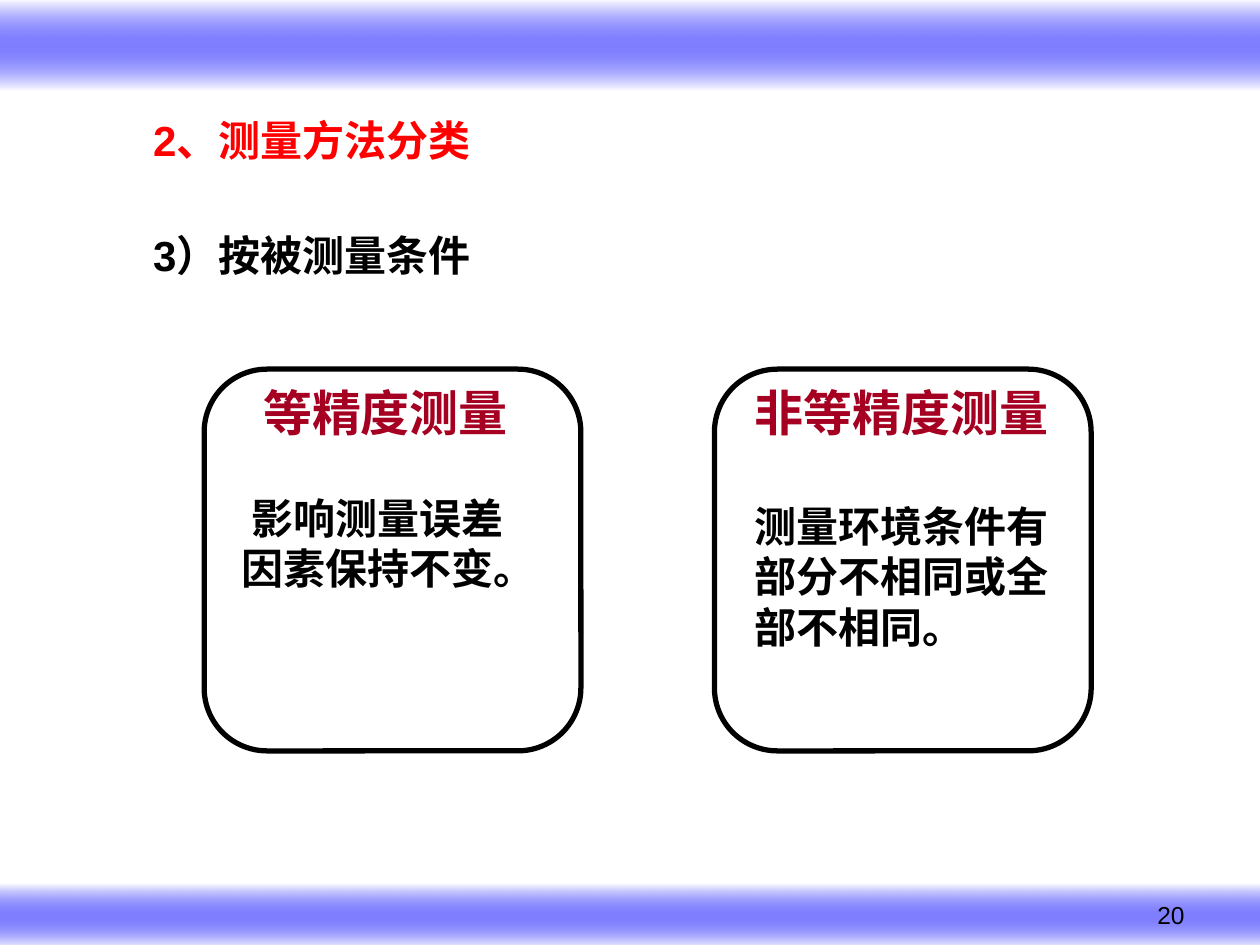
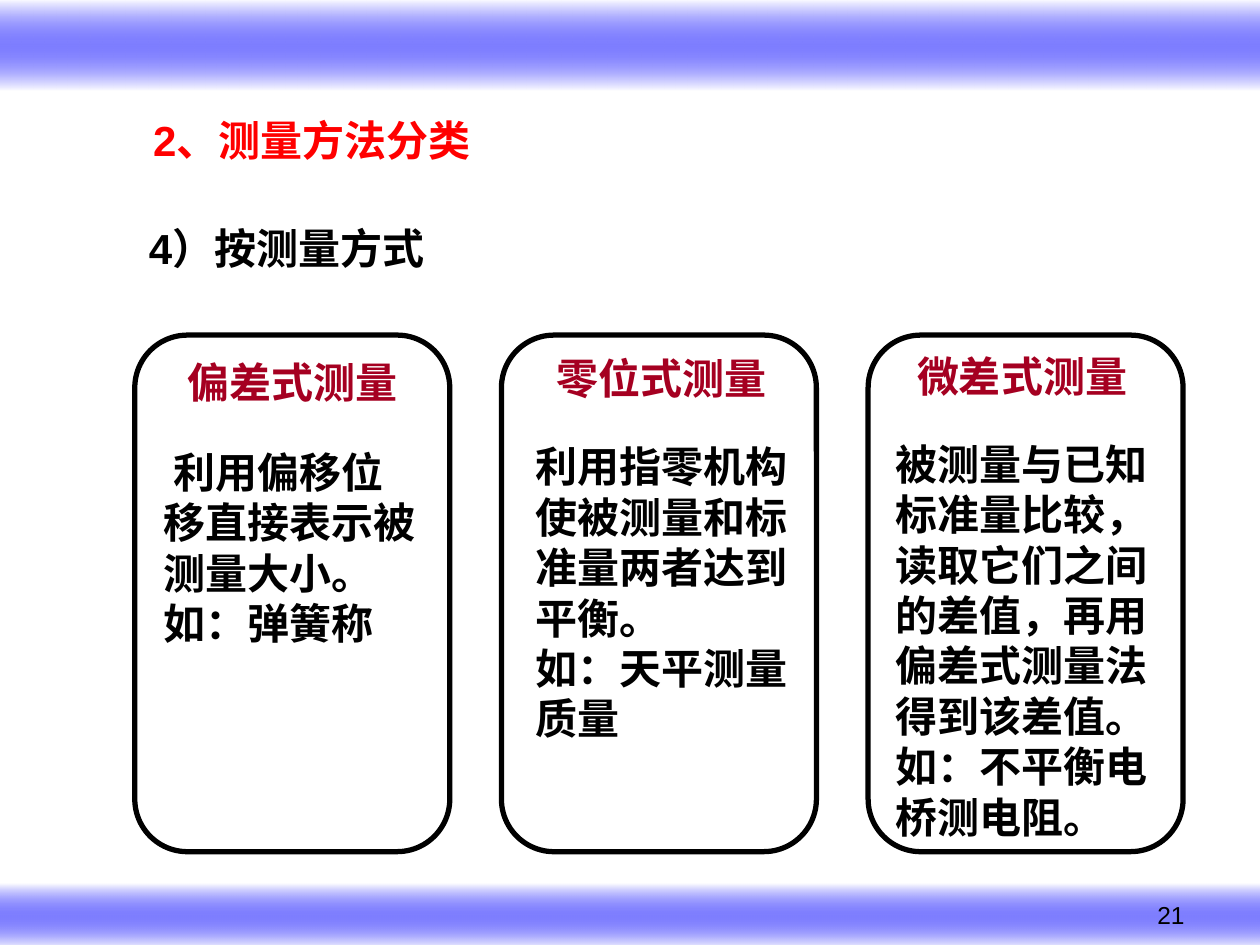
from pptx import Presentation
from pptx.dml.color import RGBColor as RGB
from pptx.enum.shapes import MSO_SHAPE as SHAPE
from pptx.enum.text import PP_ALIGN as ALIGN
from pptx.oxml import parse_xml
from pptx.oxml.ns import nsdecls
from pptx.util import Inches, Pt

BLACK = RGB(0, 0, 0)
RED = RGB(0xFF, 0, 0)
WINE = RGB(0xA5, 0, 0x21)

GLOW = f"""<a:gradFill {nsdecls("a")} rotWithShape="1"><a:gsLst>
<a:gs pos="0"><a:srgbClr val="FFFFFF"/></a:gs>
<a:gs pos="50000"><a:srgbClr val="0000FF"><a:alpha val="50000"/></a:srgbClr></a:gs>
<a:gs pos="100000"><a:srgbClr val="FFFFFF"/></a:gs>
</a:gsLst><a:lin ang="5400000" scaled="1"/></a:gradFill>"""

# Bands: top, height
BANDS = [(7.01, 0.52), (0, 0.72)]

# Each card: text inset, text top, text width, title size, title indent,
# gap under the title, title, body lines, body indent
PAGES = [
    dict(num="20", head="3）按被测量条件", spot=(1.1, 1.77, 2.75),
         left=1.62, step=4.05, top=2.93, size=(2.99, 3.03), cards=[
             (0.2, 2.99, 2.47, 28, 0.17, 28.8, "等精度测量",
              ["影响测量误差因素保持不变。"], 0.08),
             (0.22, 2.99, 2.58, 28, 0, 33.6, "非等精度测量",
              ["测量环境条件有部分不相同或全部不相同。"], 0),
         ]),
    dict(num="21", head="4）按测量方式", spot=(1.07, 1.72, 2.41),
         left=1.07, step=2.91, top=2.66, size=(2.5, 4.1), cards=[
             (0.13, 2.78, 2.23, 24, 0.19, 22.5, "偏差式测量",
              ["利用偏移位移直接表示被测量大小。", "如：弹簧称"], 0.08),
             (0.17, 2.75, 2.23, 24, 0.17, 21.6, "零位式测量",
              ["利用指零机构使被测量和标准量两者达到平衡。",
               "如：天平测量质量"], 0),
             (0.12, 2.73, 2.23, 24, 0.17, 21.6, "微差式测量",
              ["被测量与已知标准量比较，读取它们之间的差值，再用偏差式测量法得到该差值。",
               "如：不平衡电桥测电阻。"], 0),
         ]),
]


def add_box(slide, left, top, wide, high):
    box = slide.shapes.add_textbox(*map(Inches, (left, top, wide, high)))
    box.text_frame.word_wrap = True
    return box.text_frame


def add_run(para, text, size, color, font="Times New Roman", bold=True):
    run = para.add_run()
    run.text = text
    run.font.name, run.font.size, run.font.bold = font, Pt(size), bold
    run.font.color.rgb = color


deck = Presentation()
deck.slide_width, deck.slide_height = Inches(10), Inches(7.5)

for page in PAGES:
    slide = deck.slides.add_slide(deck.slide_layouts[6])

    # Glowing bands
    for top, high in BANDS:
        band = slide.shapes.add_shape(
            SHAPE.RECTANGLE, 0, Inches(top), deck.slide_width, Inches(high))
        band.shadow.inherit = False
        band.line.fill.background()
        band.fill.background()
        props = band.fill._xPr
        props.replace(props.find("{*}noFill"), parse_xml(GLOW))

    # Page number
    para = add_box(slide, 7.17, 7.09, 2.33, 0.4).paragraphs[0]
    para.alignment = ALIGN.RIGHT
    add_run(para, page["num"], 14, BLACK, "Arial", False)

    # Headings
    for text, color, (left, top, wide) in [
            ("2、测量方法分类", RED, (1.1, 0.86, 2.75)),
            (page["head"], BLACK, page["spot"])]:
        para = add_box(slide, left, top, wide, 0.51).paragraphs[0]
        para.alignment = ALIGN.CENTER
        add_run(para, text, 24, color, "Arial")

    # Cards in equal columns
    wide, high = page["size"]
    for col, card in enumerate(page["cards"]):
        inset, top, span, size, shift, gap, title, lines, dent = card
        left = page["left"] + col * page["step"]
        frame = slide.shapes.add_shape(
            SHAPE.ROUNDED_RECTANGLE,
            *map(Inches, (left, page["top"], wide, high)))
        frame.adjustments[0] = 0.167
        frame.shadow.inherit = False
        frame.fill.background()
        frame.line.color.rgb = BLACK
        frame.line.width = Pt(3)

        body = add_box(slide, left + inset, top, span, high - 0.1)
        para = body.paragraphs[0]
        para._p.get_or_add_pPr().set("indent", str(Inches(shift)))
        add_run(para, title, size, WINE)
        for row, text in enumerate(lines):
            para = body.add_paragraph()
            if row == 0:
                para.space_before = Pt(gap)
                para._p.get_or_add_pPr().set("indent", str(Inches(dent)))
            add_run(para, text, 24, BLACK)

deck.save("out.pptx")
